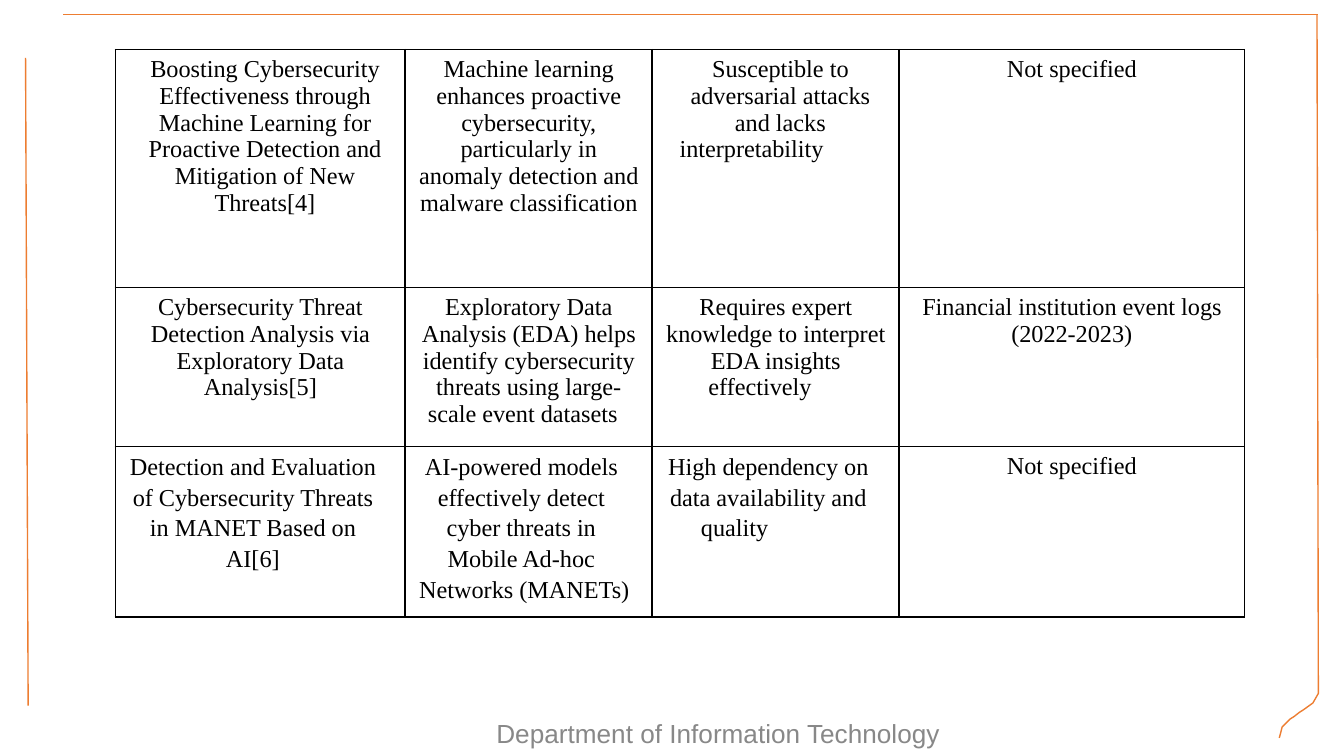
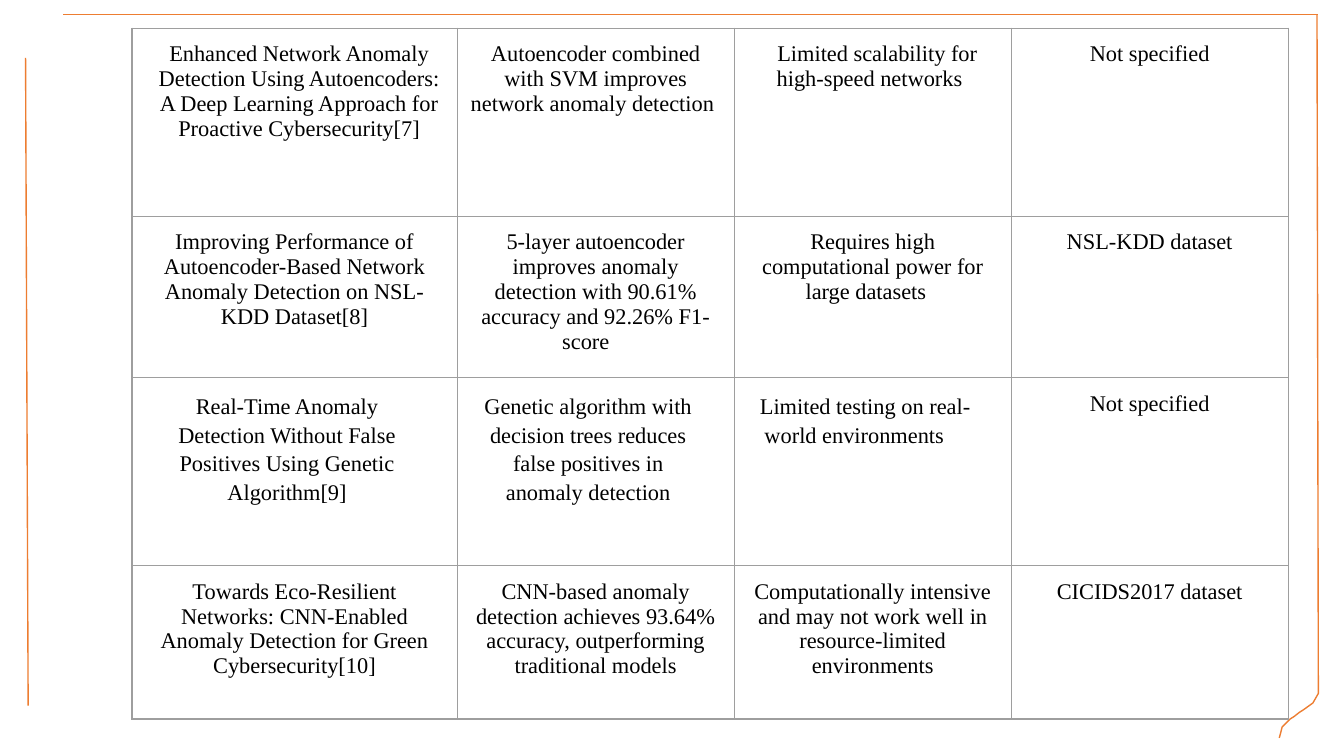
"""Build two literature survey slides with a shared orange frame."""
from dataclasses import dataclass
from functools import partial

from lxml.etree import SubElement
from pptx import Presentation
from pptx.dml.color import RGBColor
from pptx.enum.text import MSO_AUTO_SIZE, PP_ALIGN
from pptx.oxml.ns import qn
from pptx.util import Pt

ORANGE, BLACK, GRAY, FOOTER_GRAY = "ED7D31", "000000", "9E9E9E", "888888"
TABLE_FONT, FOOTER_FONT = "Times New Roman", "Arial"
FOOTER = "Department of Information Technology"

LEFT_RULE = [[(13.7, 31), (15.1, 378)]]
CORNER_FRAME = [
    [(33.8, 7.9), (706.3, 7.9)],
    [(705.6, 7.9), (706.3, 368.6), (706.3, 371.5), (703.4, 376.6),
     (698.4, 380.2), (696.2, 381.6), (693.4, 383.8), (691.2, 385.2),
     (689, 387.4), (686.9, 389.5), (686.2, 392.4), (685.4, 395.3)],
]


@dataclass
class Entry:
    """Hold the text of a table cell and its paragraph layout."""
    text: str
    left: float = 0
    right: float = 0
    spacing: float = 1
    margins: tuple = None


Indented = partial(Entry, left=5)
Loose = partial(Entry, left=5, right=13, spacing=1.15)
Tight = partial(Loose, margins=(0, 2, 0, 0))

SURVEY_4_TO_6 = [
    [Indented("Boosting Cybersecurity Effectiveness through Machine Learning "
              "for Proactive Detection and Mitigation of New Threats[4]"),
     Entry("Machine learning enhances proactive cybersecurity, particularly "
           "in anomaly detection and malware classification"),
     Indented("Susceptible to adversarial attacks and lacks interpretability\t"),
     Entry("Not specified")],
    [Entry("Cybersecurity Threat Detection Analysis via Exploratory Data "
           "Analysis[5]"),
     Entry("Exploratory Data Analysis (EDA) helps identify cybersecurity "
           "threats using large-scale event datasets\t"),
     Entry("Requires expert knowledge to interpret EDA insights effectively\t"),
     Entry("Financial institution event logs (2022-2023)")],
    [Tight("Detection and Evaluation of Cybersecurity Threats in MANET Based "
           "on AI[6]"),
     Tight("AI-powered models effectively detect cyber threats in Mobile "
           "Ad-hoc Networks (MANETs)\t"),
     Tight("High dependency on data availability and quality\t"),
     Entry("Not specified")],
]

SURVEY_7_TO_10 = [
    [Indented("Enhanced Network Anomaly Detection Using Autoencoders: A Deep "
              "Learning Approach for Proactive Cybersecurity[7]"),
     Entry("Autoencoder combined with SVM improves network anomaly "
           "detection\t"),
     Indented("Limited scalability for high-speed networks\t"),
     Entry("Not specified")],
    [Entry("Improving Performance of Autoencoder-Based Network Anomaly "
           "Detection on NSL-KDD Dataset[8]"),
     Entry("5-layer autoencoder improves anomaly detection with 90.61% "
           "accuracy and 92.26% F1-score\t"),
     Entry("Requires high computational power for large datasets\t"),
     Entry("NSL-KDD dataset")],
    [Loose("Real-Time Anomaly Detection Without False Positives Using Genetic "
           "Algorithm[9]"),
     Loose("Genetic algorithm with decision trees reduces false positives in "
           "anomaly detection"),
     Loose("Limited testing on real-world environments\t"),
     Entry("Not specified")],
    [Entry("Towards Eco-Resilient Networks: CNN-Enabled Anomaly Detection for "
           "Green Cybersecurity[10]"),
     Entry("CNN-based anomaly detection achieves 93.64% accuracy, "
           "outperforming traditional models"),
     Entry("Computationally intensive and may not work well in "
           "resource-limited environments"),
     Entry("CICIDS2017 dataset")],
]


def color(value):
    """Turn a hex string into a colour."""
    return RGBColor.from_string(value)


def style_text(para, font, size, ink, left=0, right=0, spacing=1):
    """Format the runs, indents and line spacing of a paragraph."""
    para.line_spacing = spacing
    props = para._p.get_or_add_pPr()
    props.set("marL", str(Pt(left)))
    props.set("marR", str(Pt(right)))
    props.set("indent", "0")
    for span in para.runs:
        span.font.name = font
        span.font.size = Pt(size)
        span.font.color.rgb = color(ink)


def add_outline(page, strokes):
    """Draw open strokes as one unfilled orange freeform."""
    first, *others = [[(Pt(x), Pt(y)) for x, y in stroke] for stroke in strokes]
    builder = page.shapes.build_freeform(*first[0])
    builder.add_line_segments(first[1:], close=False)
    for stroke in others:
        builder.move_to(*stroke[0])
        builder.add_line_segments(stroke[1:], close=False)
    outline = builder.convert_to_shape()
    outline.shadow.inherit = False
    outline.fill.background()
    outline.line.color.rgb = color(ORANGE)
    outline.line.width = Pt(0.75)


def add_framed_page(deck):
    """Add a blank page with the shared frame."""
    page = deck.slides.add_slide(deck.slide_layouts[6])
    add_outline(page, LEFT_RULE)
    add_outline(page, CORNER_FRAME)
    return page


def set_borders(cell, ink, width):
    """Give a cell the same solid line on all four sides."""
    props = cell._tc.get_or_add_tcPr()
    for index, side in enumerate(("lnL", "lnR", "lnT", "lnB")):
        line = SubElement(props, qn(f"a:{side}"), w=str(Pt(width)))
        props.insert(index, line)
        fill = SubElement(line, qn("a:solidFill"))
        SubElement(fill, qn("a:srgbClr"), val=ink)


def fill_cell(cell, entry, size, margins):
    """Write an entry into a cell and lay it out."""
    cell.fill.background()
    sides = entry.margins or margins
    cell.margin_left, cell.margin_top, cell.margin_right, cell.margin_bottom = (
        Pt(side) for side in sides)
    cell.text_frame.text = entry.text
    para = cell.text_frame.paragraphs[0]
    para.alignment = PP_ALIGN.CENTER
    style_text(para, TABLE_FONT, size, BLACK,
               entry.left, entry.right, entry.spacing)


def add_survey(page, entries, corner, widths, heights, size, margins, border):
    """Add a bordered table of survey entries."""
    left, top = corner
    frame = page.shapes.add_table(len(heights), len(widths), Pt(left), Pt(top),
                                  Pt(sum(widths)), Pt(sum(heights)))
    table = frame.table
    table.first_row = table.horz_banding = False
    for column, width in zip(table.columns, widths):
        column.width = Pt(width)
    for row, height, row_entries in zip(table.rows, heights, entries):
        row.height = Pt(height)
        for cell, entry in zip(row.cells, row_entries):
            fill_cell(cell, entry, size, margins)
            set_borders(cell, *border)


def add_footer(page):
    """Add the department name at the foot of a page."""
    box = page.shapes.add_textbox(Pt(257.8), Pt(378), Pt(270), Pt(45.4))
    box.text_frame.word_wrap = True
    box.text_frame.auto_size = MSO_AUTO_SIZE.SHAPE_TO_FIT_TEXT
    box.text_frame.text = FOOTER
    style_text(box.text_frame.paragraphs[0], FOOTER_FONT, 14, FOOTER_GRAY,
               left=1, spacing=1.17)


def main():
    """Build and save the deck."""
    deck = Presentation()
    deck.slide_width, deck.slide_height = Pt(720), Pt(405)

    page = add_framed_page(deck)
    add_survey(page, SURVEY_4_TO_6, (61.8, 26.6), [155.3, 132.3, 132.3, 185],
               [127.5, 85.2, 91.2], 13, (7.2, 3.6, 7.2, 3.6), (BLACK, 1))
    add_footer(page)

    page = add_framed_page(deck)
    add_survey(page, SURVEY_7_TO_10, (70.7, 15.1), [174.3] + [148.4] * 3,
               [100.8, 86.2, 100.8, 82.1], 12, (7.2,) * 4, (GRAY, 0.75))

    deck.save("out.pptx")


if __name__ == "__main__":
    main()
